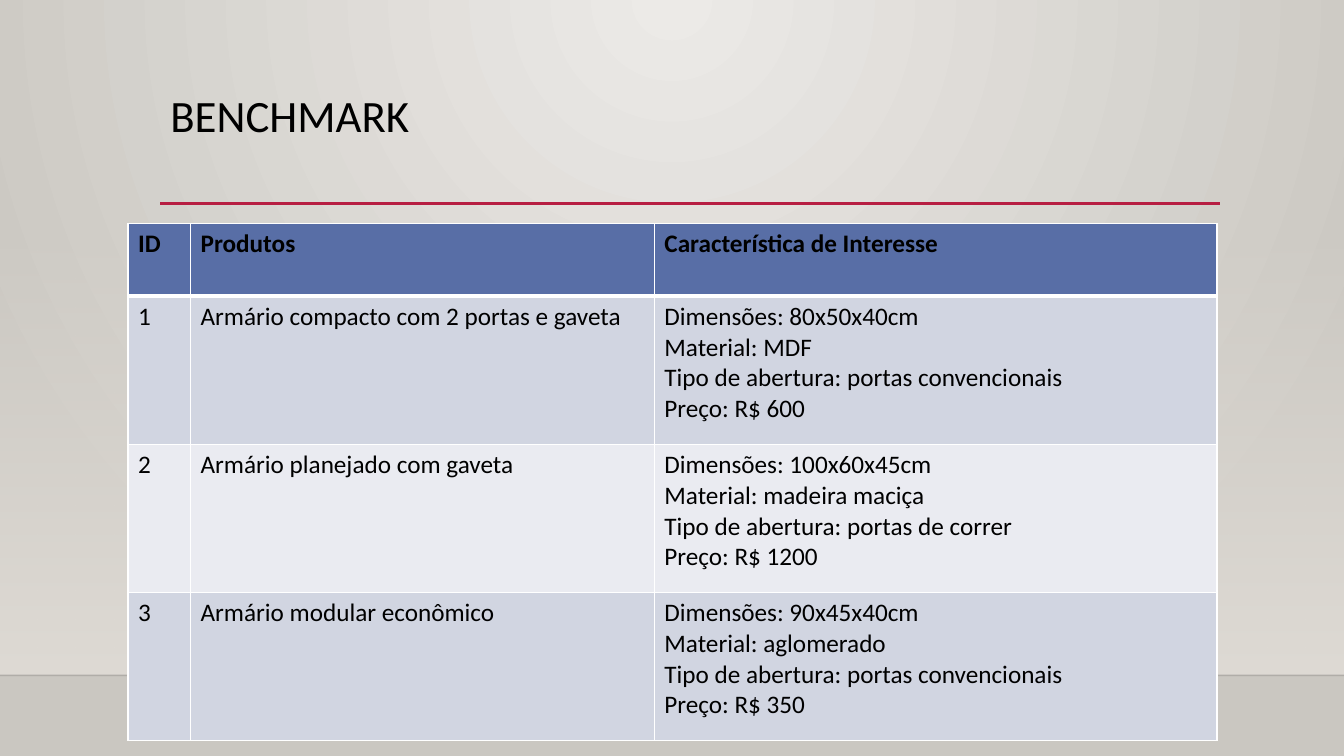
import pptx
import pptx.util
import pptx.dml.color
import pptx.enum.shapes
import pptx.enum.text
import pptx.oxml.ns
import lxml.etree

Inch = pptx.util.Inches
Color = pptx.dml.color.RGBColor
Align = pptx.enum.text.PP_ALIGN
Anchor = pptx.enum.text.MSO_ANCHOR
qn = pptx.oxml.ns.qn

WIDE, HIGH = 13.33, 7.5
FLOOR = 6.7
LEFT = 1.59
TOP = 2.22

BLACK = Color(0x00, 0x00, 0x00)
WHITE = Color(0xFF, 0xFF, 0xFF)
LIGHT = Color(0xEC, 0xEA, 0xE7)
STONE = Color(0xCA, 0xC7, 0xC1)
SAND = Color(0xDF, 0xDB, 0xD5)
RED = Color(0xB7, 0x1E, 0x42)
BLUE = Color(0x58, 0x6E, 0xA6)
BANDS = [Color(0xD1, 0xD5, 0xE1), Color(0xEA, 0xEB, 0xF1)]

COLS = [0.62, 4.6, 5.58]
ROWS = [0.72, 1.47, 1.47, 1.47]
HEADS = ["ID", "Produtos", "Característica de Interesse"]
ITEMS = [
    ("Armário compacto com 2 portas e gaveta",
     "80x50x40cm", "MDF", "portas convencionais", 600),
    ("Armário planejado com gaveta",
     "100x60x45cm", "madeira maciça", "portas de correr", 1200),
    ("Armário modular econômico",
     "90x45x40cm", "aglomerado", "portas convencionais", 350),
]


def node(base, tag, **attrs):
    return lxml.etree.SubElement(base, qn(tag), attrs)


def write(frame, text, size=18, bold=False, align=Align.LEFT, space=1.0):
    frame.text = text
    for para in frame.paragraphs:
        para.alignment = align
        para.line_spacing = space
        for run in para.runs:
            font = run.font
            font.name = "Calibri"
            font.size = pptx.util.Pt(size)
            font.bold = bold
            font.color.rgb = BLACK


def blend(fill, start, end):
    fill.gradient()
    for stop, color in zip(fill.gradient_stops, (start, end)):
        stop.color.rgb = color


def fade(base, value):
    node(base.find(".//" + qn("a:srgbClr")), "a:alpha", val=str(value * 1000))


def paint(slide):
    blend(slide.background.fill, LIGHT, STONE)
    grad = slide.element.find(".//" + qn("a:gradFill"))
    grad.remove(grad.find(qn("a:lin")))
    glow = node(grad, "a:path", path="circle")
    node(glow, "a:fillToRect", l="43000", t="0", r="43000", b="100000")


def wall(slide):
    shape = slide.shapes.add_shape(
        pptx.enum.shapes.MSO_SHAPE.RECTANGLE,
        0, Inch(2.21), Inch(WIDE), Inch(FLOOR - 2.21))
    shape.shadow.inherit = False
    shape.line.fill.background()
    blend(shape.fill, SAND, SAND)
    shape.fill.gradient_angle = 270
    fade(shape.element.spPr, 0)


def rule(slide, left, right, y, color, width):
    line = slide.shapes.add_connector(
        pptx.enum.shapes.MSO_CONNECTOR.STRAIGHT,
        Inch(left), Inch(y), Inch(right), Inch(y))
    line.line.color.rgb = color
    line.line.width = pptx.util.Pt(width)
    node(line.element.spPr, "a:effectLst")
    return line


def title(slide, text):
    shape = slide.shapes.title
    shape.left, shape.top = Inch(LEFT), Inch(0.88)
    shape.width, shape.height = Inch(10.5), Inch(1.15)
    shape.text_frame.vertical_anchor = Anchor.TOP
    write(shape.text_frame, text, size=32, space=0.9)


def border(cell, side, width):
    edge = node(cell._tc.get_or_add_tcPr(), "a:ln" + side,
                w=str(pptx.util.Pt(width)))
    node(node(edge, "a:solidFill"), "a:srgbClr", val=str(WHITE))


def grid(slide, data):
    table = slide.shapes.add_table(
        len(ROWS), len(COLS), Inch(1.27), Inch(TOP),
        Inch(sum(COLS)), Inch(sum(ROWS))).table
    for col, width in zip(table.columns, COLS):
        col.width = Inch(width)
    for row, height in zip(table.rows, ROWS):
        row.height = Inch(height)
    for r, texts in enumerate(data):
        for c, text in enumerate(texts):
            cell = table.cell(r, c)
            for side in "LRTB":
                heavy = (r, side) in ((0, "B"), (1, "T"))
                border(cell, side, 3 if heavy else 1)
            cell.fill.solid()
            cell.fill.fore_color.rgb = BANDS[(r - 1) % 2] if r else BLUE
            write(cell.text_frame, text, bold=r == 0, align=Align.JUSTIFY)


def main():
    deck = pptx.Presentation()
    deck.slide_width, deck.slide_height = Inch(WIDE), Inch(HIGH)
    slide = deck.slides.add_slide(deck.slide_layouts[5])
    paint(slide)
    wall(slide)
    edge = rule(slide, 0, WIDE, FLOOR, BLACK, 1)
    fade(edge.element.spPr, 20)
    rule(slide, LEFT, 12.1, 2.02, RED, 2.5)
    title(slide, "BENCHMARK")
    data = [HEADS]
    for num, (name, size, stuff, door, price) in enumerate(ITEMS, 1):
        facts = [f"Dimensões: {size}", f"Material: {stuff}",
                 f"Tipo de abertura: {door}", f"Preço: R$ {price}"]
        data.append([str(num), name, "\n".join(facts)])
    grid(slide, data)
    deck.save("out.pptx")


if __name__ == "__main__":
    main()
